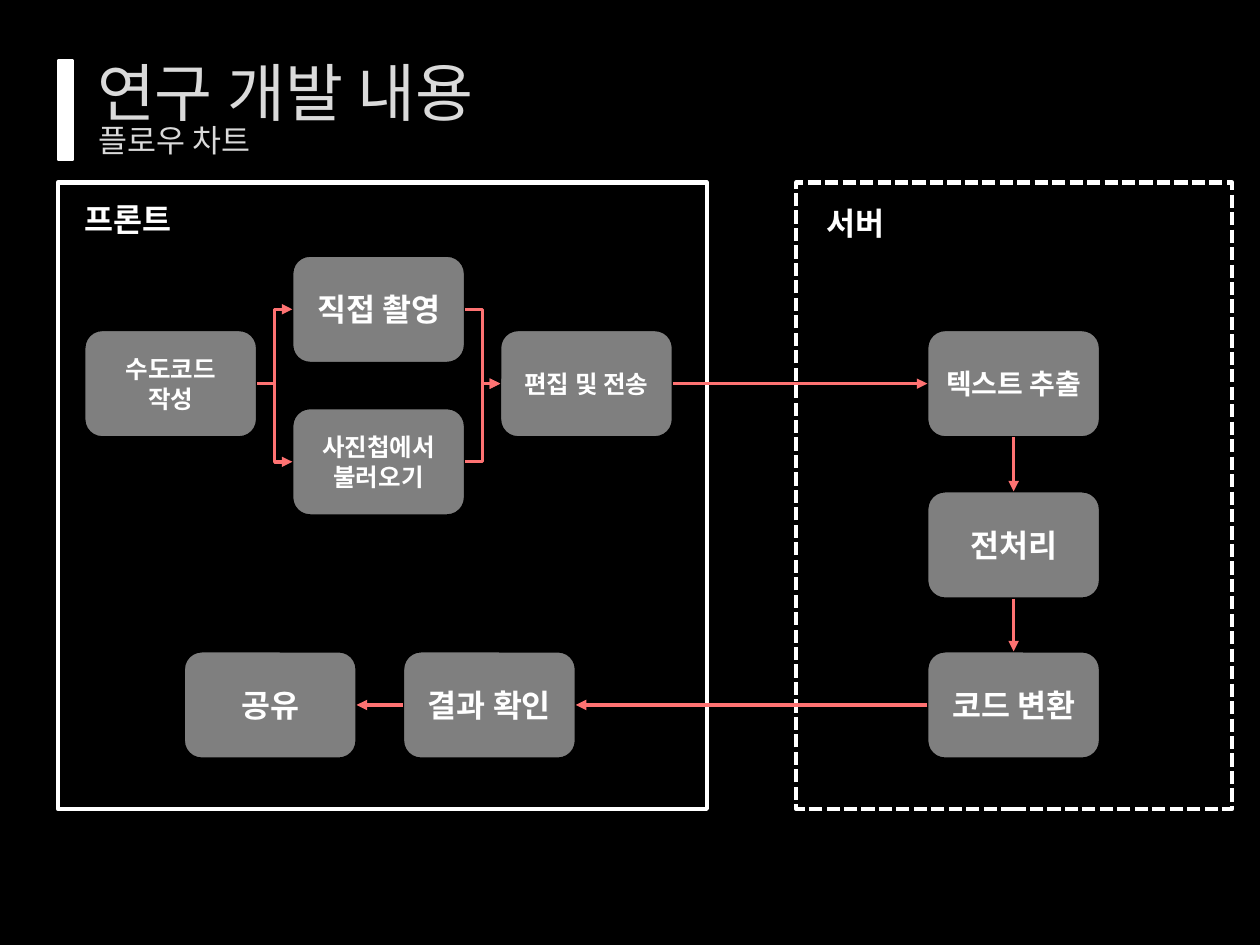
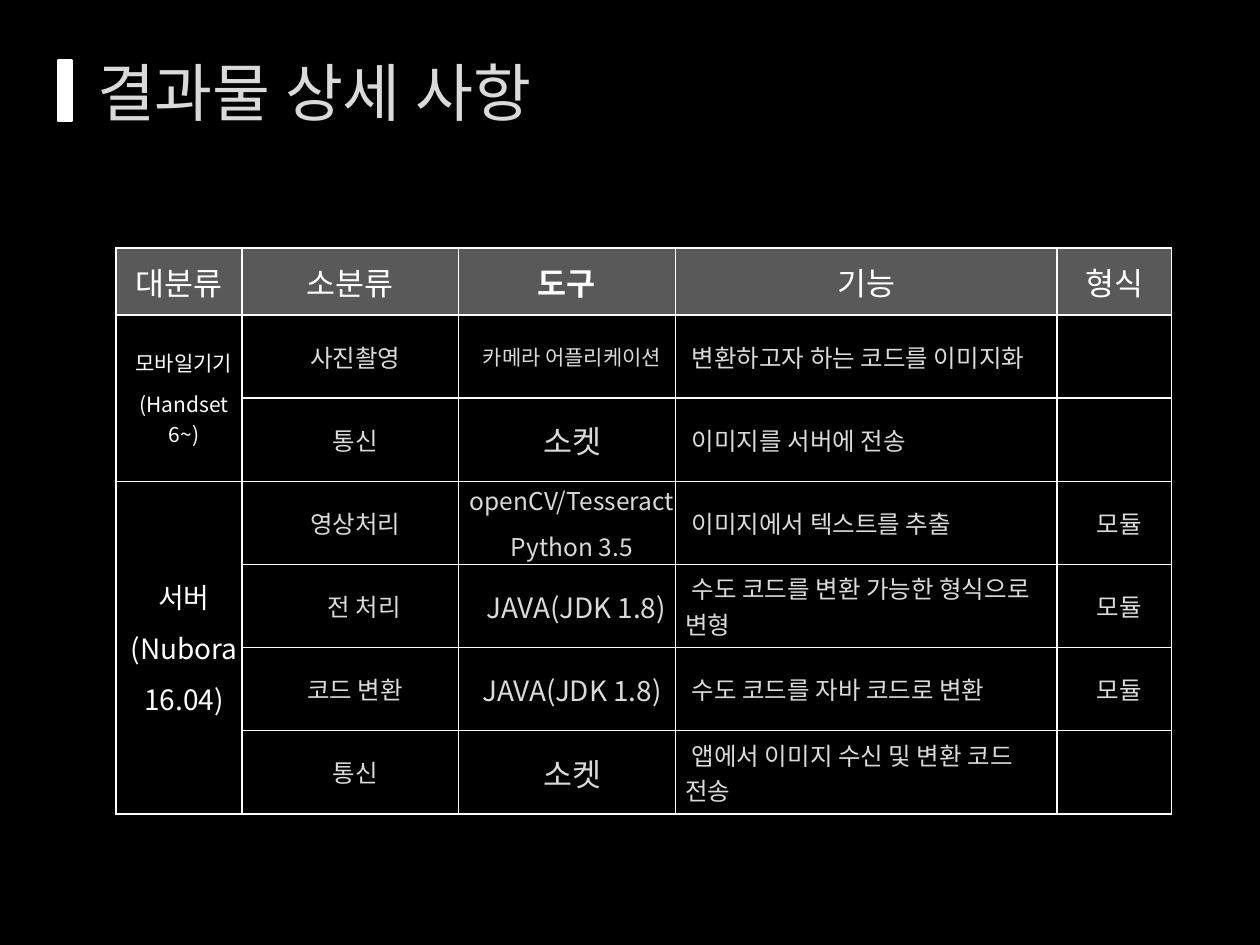
from dataclasses import dataclass

from lxml import etree
from pptx import Presentation
from pptx import util as u
from pptx.dml.color import RGBColor
from pptx.enum import dml, shapes, text
from pptx.oxml import ns


@dataclass(frozen=True)
class Theme:
    background: str = "000000"
    white: str = "FFFFFF"
    soft: str = "DADADA"
    node: str = "7F7F7F"
    header: str = "595959"
    arrow: str = "FE7272"
    font: str = "Noto Sans CJK KR"
    node_font: str = "Lato"
    label_font: str = "Calibri"
    title_size: int = 36
    large: int = 18
    medium: int = 16
    body: int = 14
    small: int = 12
    thin_line: float = 1.25
    arrow_line: float = 2
    panel_line: float = 2.5


THEME = Theme()
LEFT, CENTER = text.PP_ALIGN.LEFT, text.PP_ALIGN.CENTER
MIDDLE = text.MSO_ANCHOR.MIDDLE
TOP_SIDE, LEFT_SIDE, BOTTOM_SIDE, RIGHT_SIDE = range(4)
NODE_WIDTH, NODE_HEIGHT = 1.37, 0.85
PANEL_TOP, PANEL_HEIGHT = 1.45, 4.97
COLUMN_WIDTHS = (1, 1.72, 1.72, 3.03, 0.91)
HEADER_HEIGHT, ROW_HEIGHT = 0.53, 0.66

HEADERS = ("대분류", "소분류", "도구", "기능", "형식")
CATEGORIES = (
    (1, 2, "모바일기기\n(Handset 6~)", THEME.small),
    (3, 6, "서버\n(Nubora\n16.04)", THEME.medium),
)
FEATURES = (
    ("사진촬영", "카메라 어플리케이션", THEME.small, "변환하고자 하는 코드를 이미지화", ""),
    ("통신", "소켓", THEME.large, "이미지를 서버에 전송", ""),
    ("영상처리", "openCV/Tesseract\nPython 3.5", THEME.body, "이미지에서 텍스트를 추출", "모듈"),
    ("전 처리", "JAVA(JDK 1.8)", THEME.medium, "수도 코드를 변환 가능한 형식으로 변형", "모듈"),
    ("코드 변환", "JAVA(JDK 1.8)", THEME.medium, "수도 코드를 자바 코드로 변환", "모듈"),
    ("통신", "소켓", THEME.large, "앱에서 이미지 수신 및 변환 코드 전송", ""),
)
NODES = {
    "pseudocode": (0.67, 2.62, "수도코드 작성", THEME.body),
    "shoot": (2.32, 2.03, "직접 촬영", THEME.large),
    "album": (2.32, 3.24, "사진첩에서 불러오기", THEME.body),
    "send": (3.97, 2.62, "편집 및 전송", THEME.body),
    "extract": (7.36, 2.62, "텍스트 추출", THEME.medium),
    "prepare": (7.36, 3.9, "전처리", THEME.large),
    "convert": (7.36, 5.17, "코드 변환", THEME.large),
    "result": (3.2, 5.17, "결과 확인", THEME.large),
    "share": (1.46, 5.17, "공유", THEME.large),
}
ELBOW, STRAIGHT = shapes.MSO_CONNECTOR.ELBOW, shapes.MSO_CONNECTOR.STRAIGHT
ARROWS = (
    ("pseudocode", RIGHT_SIDE, "shoot", LEFT_SIDE, ELBOW),
    ("pseudocode", RIGHT_SIDE, "album", LEFT_SIDE, ELBOW),
    ("shoot", RIGHT_SIDE, "send", LEFT_SIDE, ELBOW),
    ("album", RIGHT_SIDE, "send", LEFT_SIDE, ELBOW),
    ("send", RIGHT_SIDE, "extract", LEFT_SIDE, STRAIGHT),
    ("extract", BOTTOM_SIDE, "prepare", TOP_SIDE, STRAIGHT),
    ("prepare", BOTTOM_SIDE, "convert", TOP_SIDE, STRAIGHT),
    ("convert", LEFT_SIDE, "result", RIGHT_SIDE, STRAIGHT),
    ("result", LEFT_SIDE, "share", RIGHT_SIDE, STRAIGHT),
)


def assign(target, values):
    for name, value in values.items():
        setattr(target, name, value)


def color(value):
    return RGBColor.from_string(value)


class Deck:
    def __init__(self, theme):
        self.theme = theme
        self.slide = None
        self.presentation = Presentation()
        assign(self.presentation, {"slide_width": u.Inches(10), "slide_height": u.Inches(7.5)})
        self.paint(self.presentation.slide_master.background, theme.background)

    def paint(self, target, value):
        target.fill.solid()
        target.fill.fore_color.rgb = color(value)

    def set_text(self, frame, words, size, tint, font=None, bold=False, alignment=LEFT,
                 space=0, margin=0, first_line=0):
        for index, line in enumerate(words.split("\n")):
            paragraph = frame.paragraphs[0] if index == 0 else frame.add_paragraph()
            assign(paragraph, {"alignment": alignment, "space_before": u.Pt(space),
                               "space_after": u.Pt(space)})
            if margin:
                properties = paragraph._p.get_or_add_pPr()
                properties.set("marL", str(u.Inches(margin)))
                properties.set("indent", str(u.Inches(first_line)))
            run = paragraph.add_run()
            run.text = line
            assign(run.font, {"size": u.Pt(size), "bold": bold, "name": font or self.theme.font})
            run.font.color.rgb = color(tint)
            latin = run._r.get_or_add_rPr().find(ns.qn("a:latin"))
            east_asian = etree.Element(ns.qn("a:ea"), typeface=self.theme.font)
            latin.addnext(east_asian)

    def new_slide(self, title, bar_width, bar_height):
        self.slide = self.presentation.slides.add_slide(self.presentation.slide_layouts[5])
        shape = self.slide.shapes.title
        assign(shape, {"left": u.Inches(0.67), "top": u.Inches(0),
                       "width": u.Inches(9.33), "height": u.Inches(1.45)})
        shape.text_frame.vertical_anchor = MIDDLE
        self.set_text(shape.text_frame, title, self.theme.title_size, self.theme.soft)
        self.box(0.46, 0.48, bar_width, bar_height, fill=self.theme.white,
                 line=self.theme.white)

    def box(self, left, top, width, height, kind=shapes.MSO_SHAPE.RECTANGLE, fill=None,
            line=None, line_width=None, dash=None):
        shape = self.slide.shapes.add_shape(
            kind, u.Inches(left), u.Inches(top), u.Inches(width), u.Inches(height))
        shape.shadow.inherit = False
        if fill:
            self.paint(shape, fill)
        else:
            shape.fill.background()
        shape.line.color.rgb = color(line)
        assign(shape.line, {"width": u.Pt(line_width or self.theme.thin_line),
                            "dash_style": dash})
        return shape

    def panel(self, left, width, dash=None):
        self.box(left, PANEL_TOP, width, PANEL_HEIGHT, line=self.theme.white,
                 line_width=self.theme.panel_line, dash=dash)

    def node(self, left, top, words, size):
        shape = self.box(left, top, NODE_WIDTH, NODE_HEIGHT,
                         kind=shapes.MSO_SHAPE.ROUNDED_RECTANGLE,
                         fill=self.theme.node, line=self.theme.background)
        assign(shape.text_frame, {"vertical_anchor": MIDDLE, "word_wrap": True})
        self.set_text(shape.text_frame, words, size, self.theme.white, self.theme.node_font,
                      bold=True, alignment=CENTER)
        return shape

    def label(self, left, top, width, words, tint, font=None, bold=False, wrap=True):
        shape = self.slide.shapes.add_textbox(
            u.Inches(left), u.Inches(top), u.Inches(width), u.Inches(0.4))
        shape.text_frame.word_wrap = wrap
        self.set_text(shape.text_frame, words, self.theme.large, tint, font, bold)

    def arrow(self, start, start_side, end, end_side, kind):
        connector = self.slide.shapes.add_connector(kind, 0, 0, 0, 0)
        connector.begin_connect(start, start_side)
        connector.end_connect(end, end_side)
        connector.line.color.rgb = color(self.theme.arrow)
        connector.line.width = u.Pt(self.theme.arrow_line)
        properties = connector._element.spPr
        line = properties.find(ns.qn("a:ln"))
        etree.SubElement(line, ns.qn("a:tailEnd"), type="triangle")
        etree.SubElement(properties, ns.qn("a:effectLst"))

    def table(self, left, top, widths, heights):
        frame = self.slide.shapes.add_table(
            len(heights), len(widths), u.Inches(left), u.Inches(top),
            u.Inches(sum(widths)), u.Inches(sum(heights)))
        table = frame.table
        assign(table, {"first_row": False, "horz_banding": False})
        for column, width in zip(table.columns, widths):
            column.width = u.Inches(width)
        for index, (row, height) in enumerate(zip(table.rows, heights)):
            row.height = u.Inches(height)
            for cell in row.cells:
                self.format_cell(cell, self.theme.header if index == 0 else None)
        return table

    def format_cell(self, cell, fill):
        assign(cell, {"margin_left": 0, "margin_right": 0, "margin_top": 0,
                      "margin_bottom": 0, "vertical_anchor": MIDDLE})
        properties = cell._tc.get_or_add_tcPr()
        for side in ("lnL", "lnR", "lnT", "lnB"):
            border = etree.SubElement(properties, ns.qn(f"a:{side}"), w=str(u.Pt(1)))
            solid = etree.SubElement(border, ns.qn("a:solidFill"))
            etree.SubElement(solid, ns.qn("a:srgbClr"), val=self.theme.white)
        if fill:
            self.paint(cell, fill)
        else:
            cell.fill.background()

    def cell_text(self, cell, words, size, tint, **format_values):
        if words:
            values = {"alignment": CENTER, "space": 3, "margin": 0.08, **format_values}
            self.set_text(cell.text_frame, words, size, tint, **values)


def build_flow_chart(deck):
    theme = deck.theme
    deck.new_slide("연구 개발 내용", 0.12, 0.79)
    deck.label(0.68, 0.91, 1.55, "플로우 차트", theme.soft, wrap=False)
    nodes = {name: deck.node(*values) for name, values in NODES.items()}
    deck.panel(0.46, 5.15)
    deck.label(0.57, 1.54, 1.1, "프론트", theme.white, theme.node_font, bold=True)
    deck.label(6.46, 1.57, 0.83, "서버", theme.white, theme.label_font, bold=True)
    deck.panel(6.32, 3.46, dash=dml.MSO_LINE.SQUARE_DOT)
    for start, start_side, end, end_side, kind in ARROWS:
        deck.arrow(nodes[start], start_side, nodes[end], end_side, kind)


def build_details(deck):
    theme = deck.theme
    deck.new_slide("결과물 상세 사항", 0.11, 0.48)
    heights = [HEADER_HEIGHT] + [ROW_HEIGHT] * len(FEATURES)
    table = deck.table(0.92, 1.97, COLUMN_WIDTHS, heights)
    for column, header in enumerate(HEADERS):
        deck.cell_text(table.cell(0, column), header, theme.large, theme.white,
                       bold=header == "도구", space=6, margin=0)
    for first, last, words, size in CATEGORIES:
        table.cell(first, 0).merge(table.cell(last, 0))
        deck.cell_text(table.cell(first, 0), words, size, theme.white)
    for row, (name, tool, tool_size, purpose, form) in enumerate(FEATURES, 1):
        shifted = {"first_line": 0.14} if name == "전 처리" else {}
        tool_format = {**shifted, "alignment": LEFT} if shifted else {}
        columns = (
            (name, theme.body, shifted),
            (tool, tool_size, tool_format),
            (purpose, theme.body, {"alignment": LEFT, "first_line": 0.05}),
            (form, theme.body, {}),
        )
        for column, (words, size, values) in enumerate(columns, 1):
            deck.cell_text(table.cell(row, column), words, size, theme.soft, **values)


def main():
    deck = Deck(THEME)
    build_flow_chart(deck)
    build_details(deck)
    deck.presentation.save("out.pptx")


if __name__ == "__main__":
    main()
